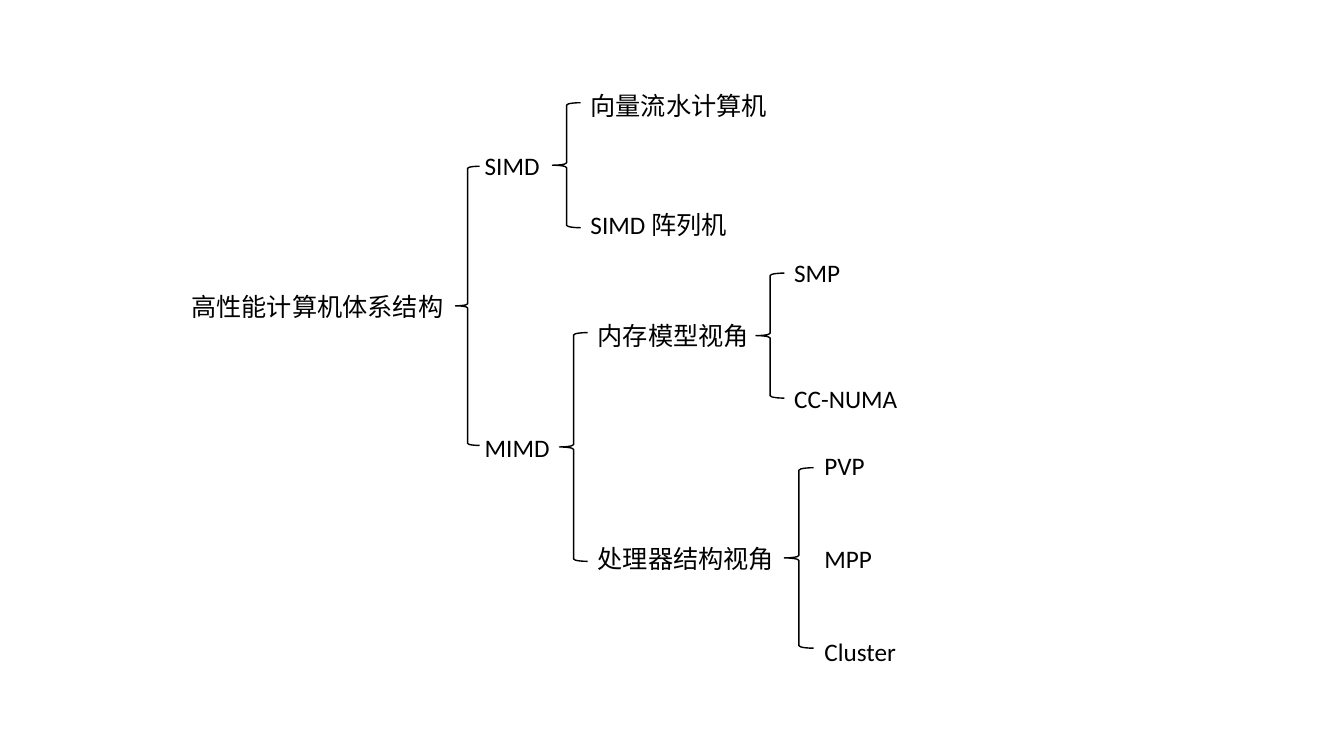
"""Build a brace tree of high-performance computer architectures."""
from dataclasses import dataclass

from pptx import Presentation
from pptx.dml.color import RGBColor as RGB
from pptx.enum.shapes import MSO_SHAPE as Shape
from pptx.enum.text import MSO_AUTO_SIZE as Fit
from pptx.util import Pt


@dataclass
class Theme:
    ink: RGB = RGB(0, 0, 0)
    font: str = "Calibri"
    size: int = 18
    line: int = 1
    row: int = 29


theme = Theme()
deck = Presentation()
deck.slide_width, deck.slide_height = Pt(960), Pt(540)
slide = deck.slides.add_slide(deck.slide_layouts[6])


def label(text, left, top, width):
    box = slide.shapes.add_textbox(Pt(left), Pt(top), Pt(width), Pt(theme.row))
    frame = box.text_frame
    frame.word_wrap = True
    frame.auto_size = Fit.SHAPE_TO_FIT_TEXT
    para = frame.paragraphs[0]
    para.text = text
    para.font.name = theme.font
    para.font.size = Pt(theme.size)
    para.font.color.rgb = theme.ink


def brace(*area):
    mark = slide.shapes.add_shape(Shape.LEFT_BRACE, *map(Pt, area))
    mark.shadow.inherit = False
    mark.fill.background()
    mark.line.color.rgb = theme.ink
    mark.line.width = Pt(theme.line)


groups = [
    ((325.4, 118.8, 17.3, 199.4), 339.1,
     [("SIMD", 103.7, 65.5), ("MIMD", 305.3, 65.5)]),
    ((394.6, 73.4, 20.2, 89.3), 414.7,
     [("向量流水计算机", 61.2, 152), ("SIMD 阵列机", 146.2, 152)]),
    ((399.6, 237.6, 20.2, 163.4), 419.8,
     [("内存模型视角", 225.4, 129), ("处理器结构视角", 384.5, 147.6)]),
    ((540, 195.1, 20.2, 89.3), 560.2,
     [("SMP", 180, 64), ("CC-NUMA", 270, 116.6)]),
    ((560.2, 334.1, 20.9, 128.9), 581.8,
     [("PVP", 318.2, 59), ("MPP", 384.5, 59), ("Cluster", 450.7, 90)]),
]

label("高性能计算机体系结构", 129.6, 204.5, 205.2)
for area, left, items in groups:
    brace(*area)
    for text, top, width in items:
        label(text, left, top, width)

deck.save("out.pptx")
